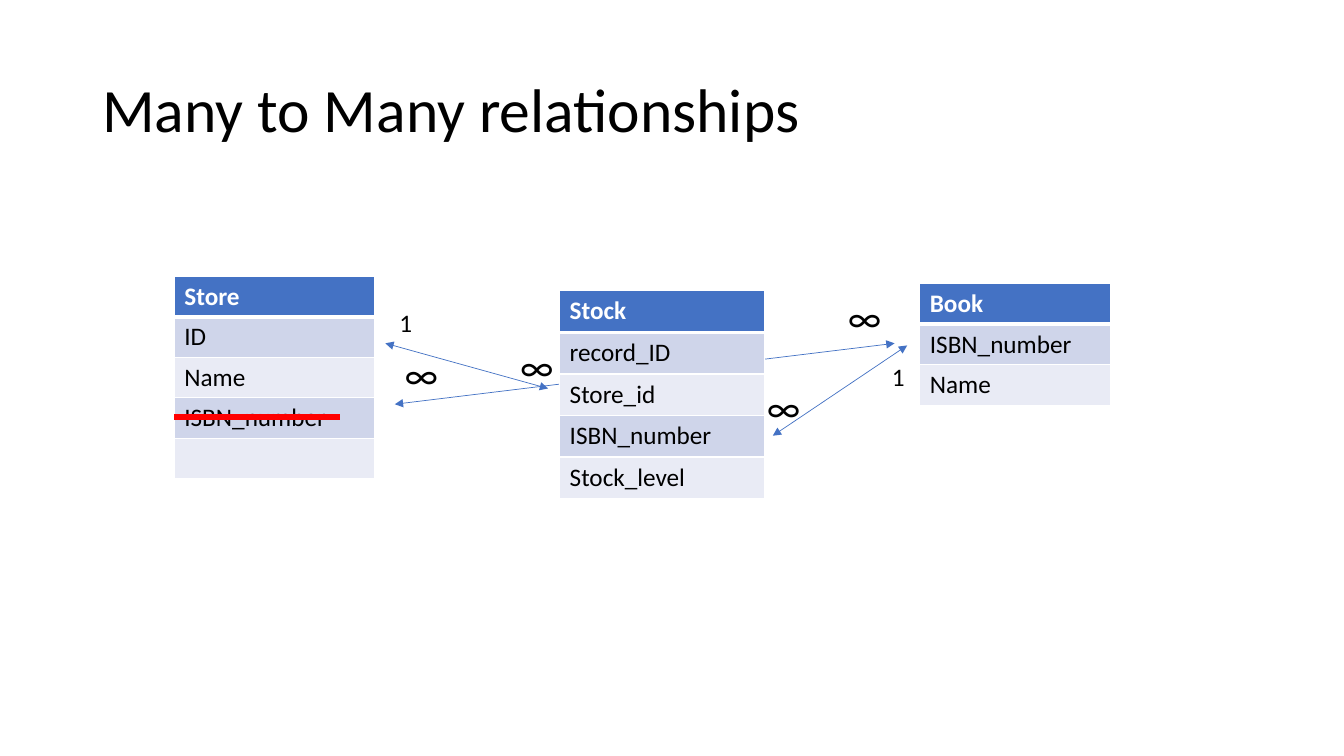
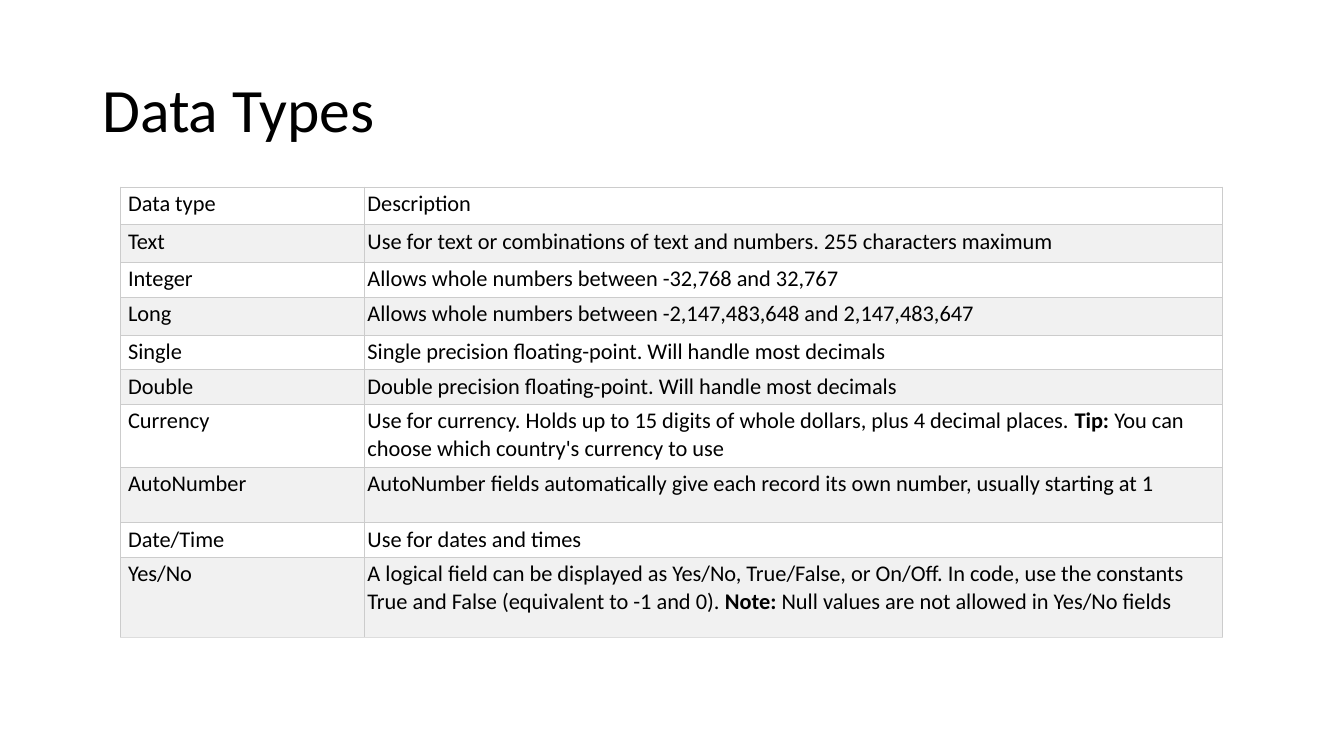
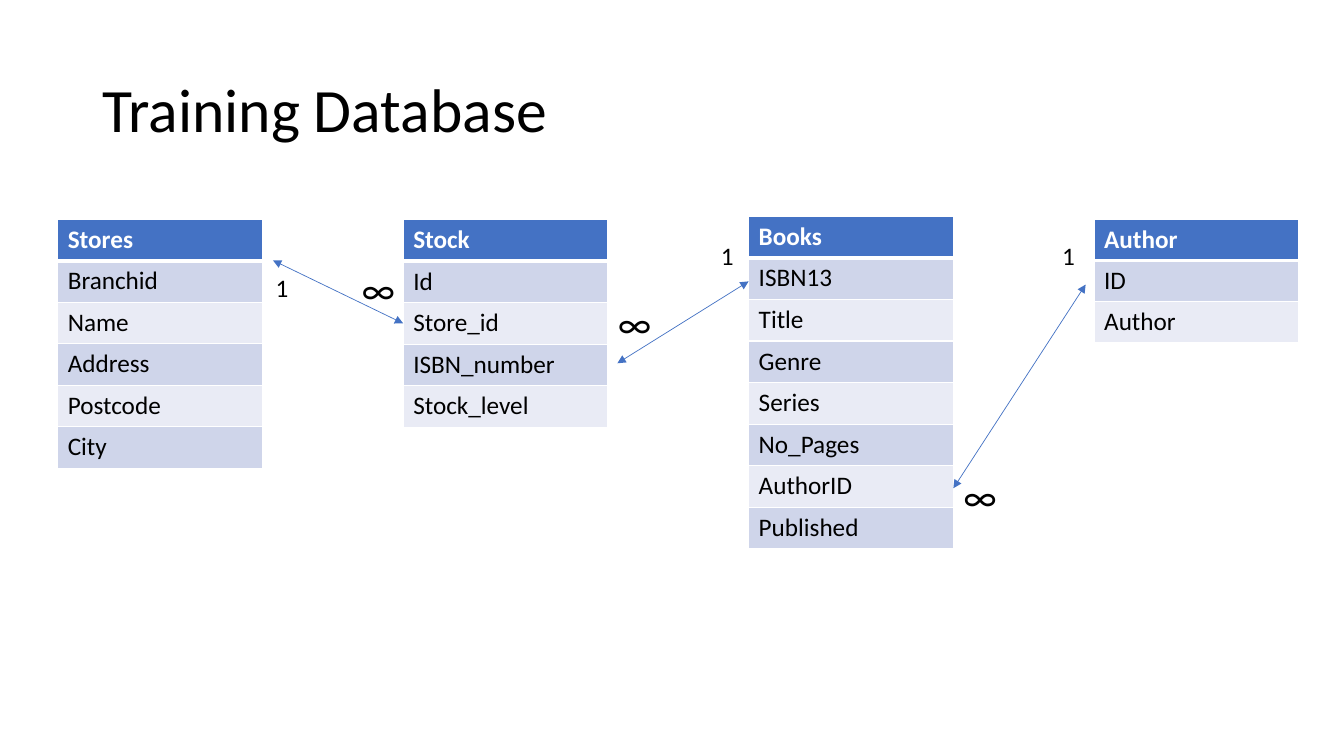
from dataclasses import dataclass
from typing import Protocol

from lxml import etree
from pptx import Presentation
from pptx.dml.color import RGBColor
from pptx.enum import shapes, text
from pptx.oxml import ns
from pptx.util import Emu, Pt

PX = 9525


@dataclass(frozen=True)
class Theme:
    font: str = "Calibri"
    ink: str = "000000"
    paper: str = "FFFFFF"
    accent: str = "4472C4"
    bands: tuple[str, str] = ("CFD5EA", "E9EBF5")
    strike: str = "FF0000"
    grid: str = "CCCCCC"
    grid_end: str = "DDDDDD"
    stripes: tuple[str, str] = ("FFFFFF", "F1F1F1")
    title_size: int = 44
    many_size: int = 28
    body_size: int = 18
    types_size: int = 16


THEME = Theme()


@dataclass(frozen=True)
class Span:
    words: str
    bold: bool = False


class Item(Protocol):
    def draw(self, slide) -> None: ...


def px(length: float) -> Emu:
    return Emu(round(length * PX))


def write(paragraph, spans: tuple[Span, ...], size: int, color: str) -> None:
    for span in spans:
        run = paragraph.add_run()
        run.text = span.words
        run.font.name = THEME.font
        run.font.size = Pt(size)
        run.font.bold = span.bold
        run.font.color.rgb = RGBColor.from_string(color)


def border(cell, side: str, color: str, points: float) -> None:
    edge = etree.SubElement(cell._tc.get_or_add_tcPr(), ns.qn(f"a:ln{side}"), w=str(Pt(points)))
    fill = etree.SubElement(edge, ns.qn("a:solidFill"))
    etree.SubElement(fill, ns.qn("a:srgbClr"), val=color)


def style_cell(cell, fill: str, edge: str, bottom: str, width: float, bottom_width: float) -> None:
    for side in "LRT":
        border(cell, side, edge, width)
    border(cell, "B", bottom, bottom_width)
    cell.fill.solid()
    cell.fill.fore_color.rgb = RGBColor.from_string(fill)


def add_grid(slide, left: int, top: int, widths: list[float], heights: list[float]):
    frame = slide.shapes.add_table(
        len(heights), len(widths), px(left), px(top), px(sum(widths)), px(sum(heights))
    )
    for column, width in zip(frame.table.columns, widths):
        column.width = px(width)
    for row, height in zip(frame.table.rows, heights):
        row.height = px(height)
    return frame.table


@dataclass(frozen=True)
class Entity:
    left: int
    top: int
    width: int
    height: int
    heading: str
    fields: tuple[str, ...]

    def draw(self, slide) -> None:
        labels = (self.heading, *self.fields)
        grid = add_grid(slide, self.left, self.top, [self.width], [self.height / len(labels)] * len(labels))
        for index, label in enumerate(labels):
            heading = index == 0
            cell = grid.cell(index, 0)
            fill = THEME.accent if heading else THEME.bands[(index - 1) % 2]
            style_cell(cell, fill, THEME.paper, THEME.paper, 1, 3 if heading else 1)
            if label:
                color = THEME.paper if heading else THEME.ink
                write(cell.text_frame.paragraphs[0], (Span(label, heading),), THEME.body_size, color)


@dataclass(frozen=True)
class Link:
    start: tuple[int, int]
    end: tuple[int, int]
    color: str = THEME.accent
    weight: float = 0.5
    arrows: bool = True

    def draw(self, slide) -> None:
        link = slide.shapes.add_connector(
            shapes.MSO_CONNECTOR.STRAIGHT, *map(px, (*self.start, *self.end))
        )
        link.line.color.rgb = RGBColor.from_string(self.color)
        link.line.width = Pt(self.weight)
        if self.arrows:
            for end in ("headEnd", "tailEnd"):
                etree.SubElement(link.line._ln, ns.qn(f"a:{end}"), type="triangle")
        etree.SubElement(link._element.spPr, ns.qn("a:effectLst"))


@dataclass(frozen=True)
class Cardinality:
    left: int
    top: int
    many: bool = False

    def draw(self, slide) -> None:
        mark, size, height = ("∞", THEME.many_size, 55) if self.many else ("1", THEME.body_size, 38)
        box = slide.shapes.add_textbox(px(self.left), px(self.top), px(32), px(height))
        box.text_frame.word_wrap = True
        box.text_frame.auto_size = text.MSO_AUTO_SIZE.SHAPE_TO_FIT_TEXT
        write(box.text_frame.paragraphs[0], (Span(mark),), size, THEME.ink)


@dataclass(frozen=True)
class DataType:
    label: str
    height: int
    description: tuple[Span, ...]


@dataclass(frozen=True)
class TypeTable:
    left: int
    top: int
    widths: tuple[int, int]
    entries: tuple[DataType, ...]

    def draw(self, slide) -> None:
        grid = add_grid(slide, self.left, self.top, list(self.widths), [e.height for e in self.entries])
        for index, entry in enumerate(self.entries):
            bottom = THEME.grid_end if entry is self.entries[-1] else THEME.grid
            for column, spans in enumerate(((Span(entry.label),), entry.description)):
                cell = grid.cell(index, column)
                style_cell(cell, THEME.stripes[index % 2], THEME.grid, bottom, 0.6, 0.6)
                cell.margin_left = px((7, 3)[column])
                cell.margin_right = cell.margin_top = cell.margin_bottom = px(3)
                write(cell.text_frame.paragraphs[0], spans, THEME.types_size, THEME.ink)


def add_title(slide, title: str) -> None:
    box = slide.shapes.add_textbox(px(88), px(38), px(1104), px(139))
    box.text_frame.word_wrap = True
    box.text_frame.vertical_anchor = text.MSO_ANCHOR.MIDDLE
    paragraph = box.text_frame.paragraphs[0]
    paragraph.line_spacing = 0.9
    write(paragraph, (Span(title),), THEME.title_size, THEME.ink)


def training_left(column: int) -> int:
    return 55 + 329 * column


MANY_TO_MANY: tuple[Item, ...] = (
    Entity(876, 270, 182, 116, "Book", ("ISBN_number", "Name")),
    Entity(166, 263, 191, 193, "Store", ("ID", "Name", "ISBN_number", "")),
    Link((376, 385), (852, 327)),
    Cardinality(376, 329, many=True),
    Cardinality(798, 275, many=True),
    Link((166, 397), (324, 397), THEME.strike, 4.5, arrows=False),
    Entity(533, 277, 195, 198, "Stock", ("record_ID", "Store_id", "ISBN_number", "Stock_level")),
    Link((367, 327), (522, 370)),
    Link((736, 415), (864, 329)),
    Cardinality(840, 339),
    Cardinality(371, 288),
    Cardinality(486, 321, many=True),
    Cardinality(721, 360, many=True),
)

DATA_TYPES = TypeTable(115, 178, (232, 817), (
    DataType("Data type", 36, (Span("Description"),)),
    DataType("Text", 36, (Span("Use for text or combinations of text and numbers. 255 characters maximum"),)),
    DataType("Integer", 33, (Span("Allows whole numbers between -32,768 and 32,767"),)),
    DataType("Long", 36, (Span("Allows whole numbers between -2,147,483,648 and 2,147,483,647"),)),
    DataType("Single", 33, (Span("Single precision floating-point. Will handle most decimals"),)),
    DataType("Double", 33, (Span("Double precision floating-point. Will handle most decimals"),)),
    DataType("Currency", 60, (
        Span("Use for currency. Holds up to 15 digits of whole dollars, plus 4 decimal places. "),
        Span("Tip:", bold=True),
        Span(" You can choose which country's currency to use"),
    )),
    DataType("AutoNumber", 53, (
        Span("AutoNumber fields automatically give each record its own number, usually starting at 1"),
    )),
    DataType("Date/Time", 33, (Span("Use for dates and times"),)),
    DataType("Yes/No", 76, (
        Span("A logical field can be displayed as Yes/No, True/False, or On/Off. "
             "In code, use the constants True and False (equivalent to -1 and 0). "),
        Span("Note:", bold=True),
        Span(" Null values are not allowed in Yes/No fields"),
    )),
))

TRAINING: tuple[Item, ...] = (
    Entity(training_left(0), 209, 195, 237, "Stores", ("Branchid", "Name", "Address", "Postcode", "City")),
    Entity(training_left(1), 209, 195, 198, "Stock", ("Id", "Store_id", "ISBN_number", "Stock_level")),
    Entity(training_left(2), 206, 195, 317, "Books",
           ("ISBN13", "Title", "Genre", "Series", "No_Pages", "AuthorID", "Published")),
    Entity(training_left(3), 209, 195, 117, "Author", ("ID", "Author")),
    Link((908, 465), (1034, 271)),
    Cardinality(579, 280, many=True),
    Cardinality(677, 224),
    Link((588, 346), (713, 268)),
    Link((260, 248), (384, 308)),
    Cardinality(1002, 224),
    Cardinality(908, 445, many=True),
    Cardinality(335, 248, many=True),
    Cardinality(253, 255),
)

DECK: tuple[tuple[str, tuple[Item, ...]], ...] = (
    ("Many to Many relationships", MANY_TO_MANY),
    ("Data Types", (DATA_TYPES,)),
    ("Training Database", TRAINING),
)


def main() -> None:
    deck = Presentation()
    deck.slide_width, deck.slide_height = px(1280), px(720)
    for title, items in DECK:
        slide = deck.slides.add_slide(deck.slide_layouts[6])
        add_title(slide, title)
        for item in items:
            item.draw(slide)
    deck.save("out.pptx")


if __name__ == "__main__":
    main()
